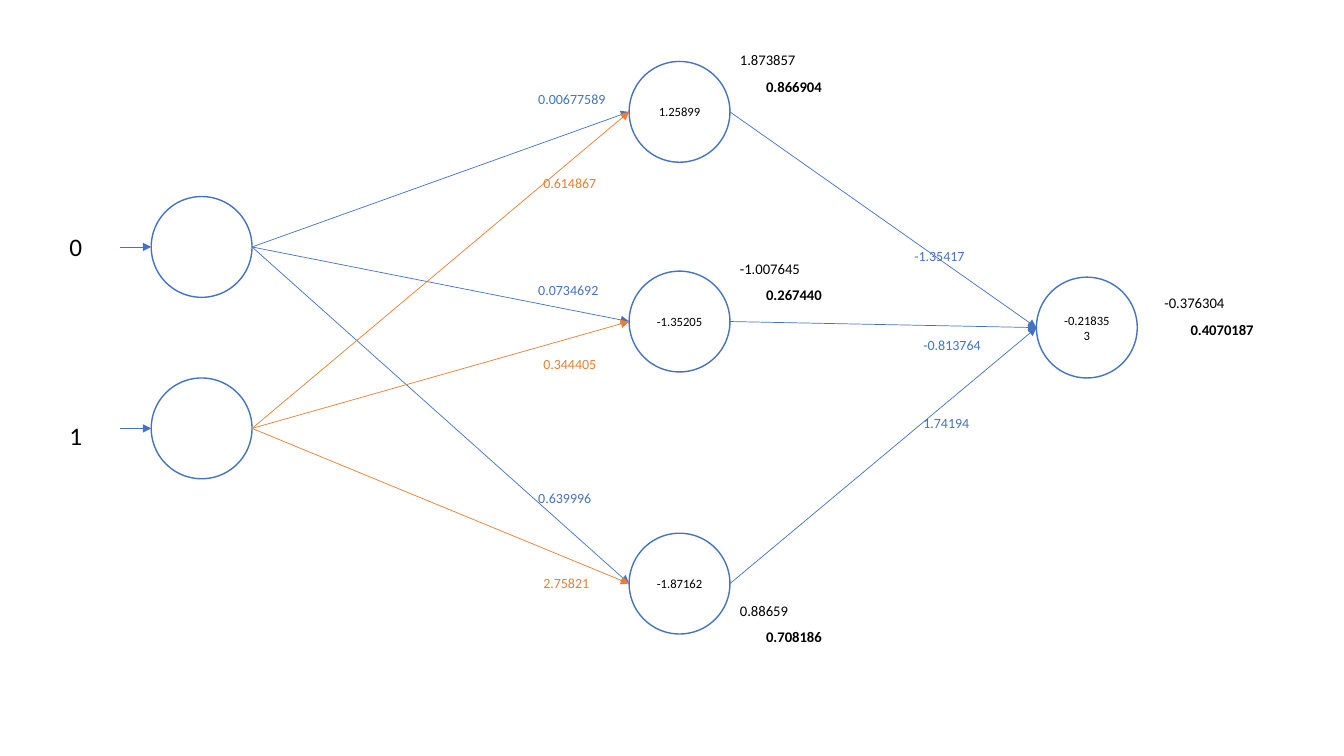
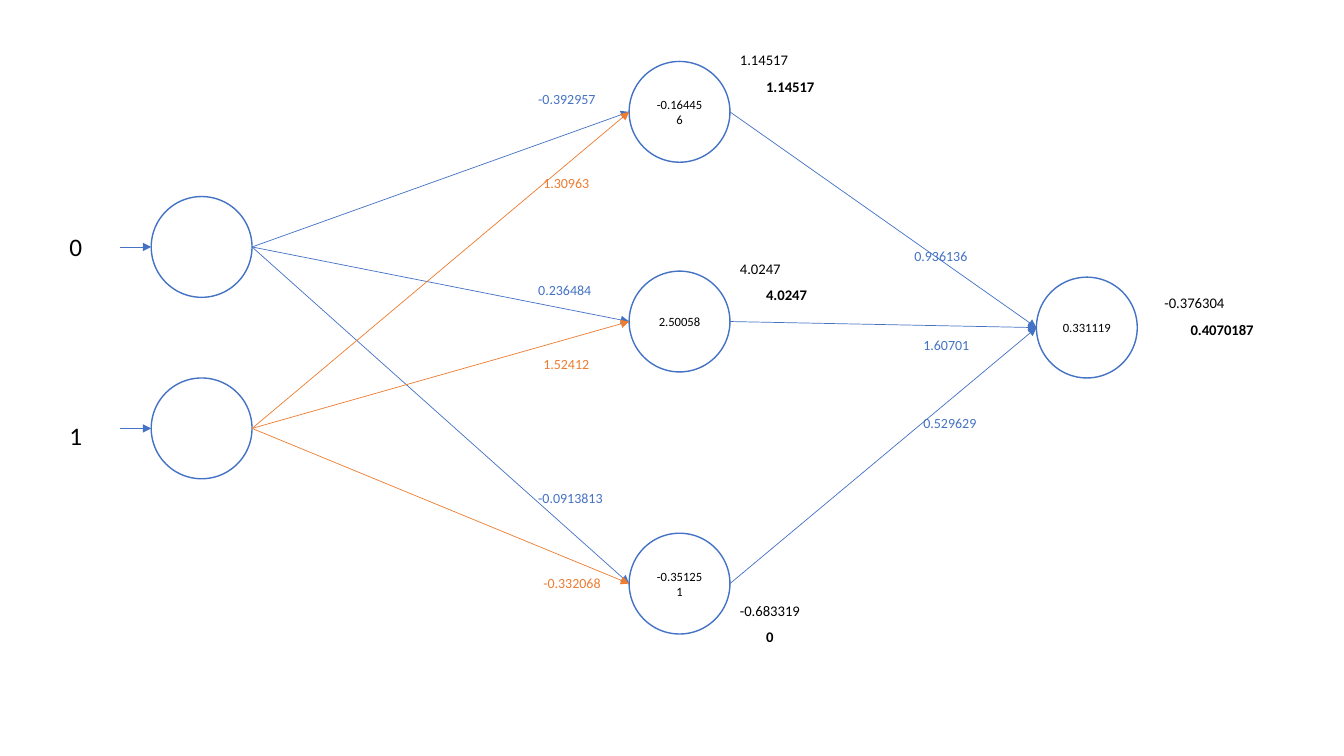
from dataclasses import dataclass
from typing import NamedTuple

from pptx import Presentation
from pptx.dml.color import RGBColor as RGB
from pptx.enum.shapes import MSO_CONNECTOR as CONN, MSO_SHAPE as SHAPE
from pptx.enum.text import MSO_ANCHOR as ANCHOR, MSO_AUTO_SIZE as FIT, PP_ALIGN as ALIGN
from pptx.oxml.ns import qn
from pptx.util import Emu, Pt
from lxml.etree import SubElement

PX = 9144  # EMU per px, 100 px to the inch


@dataclass(frozen=True)
class Theme:
    font: str = "Calibri"
    blue: RGB = RGB(0x44, 0x72, 0xC4)
    orange: RGB = RGB(0xED, 0x7D, 0x31)
    black: RGB = RGB(0, 0, 0)
    white: RGB = RGB(255, 255, 255)
    input_size: float = 18
    output_size: float = 10.5
    weight_size: float = 10
    bias_size: float = 9
    node_line: float = 1
    edge_line: float = 0.5


class Point(NamedTuple):
    x: int
    y: int


class Network(NamedTuple):
    """Values of one network; each row of weights belongs to one source layer node."""
    biases: list[str]
    input_weights: list[list[str]]
    output_weights: list[str]
    outputs: list[tuple[str, str]]


T = Theme()
NODE = 100
ARROW = 31
INPUT_NODES = [Point(150, 195), Point(150, 375)]
HIDDEN_NODES = [Point(624, y) for y in (61, 269, 529)]
OUTPUT_NODE = Point(1028, 275)

INPUT_VALUES = [("0", Point(59, 225)), ("1", Point(59, 412))]
INPUT_COLORS = [T.blue, T.orange]
INPUT_LABELS = [[Point(524, y) for y in (85, 274, 481)],
                [Point(529, y) for y in (168, 348, 565)]]
OUTPUT_LABELS = [Point(897, 241), Point(906, 329), Point(906, 406)]
SUM_LABELS = [Point(724, 46), Point(724, 253), Point(724, 592), Point(1145, 287)]
ACTIVATION_SHIFT = 26

FINAL_OUTPUT = ("-0.376304", "0.4070187")
NETWORKS = [
    Network(
        ["1.25899", "-1.35205", "-1.87162", "-0.218353"],
        [["0.00677589", "0.0734692", "0.639996"], ["0.614867", "0.344405", "2.75821"]],
        ["-1.35417", "-0.813764", "1.74194"],
        [("1.873857", "0.866904"), ("-1.007645", "0.267440"),
         ("0.88659", "0.708186"), FINAL_OUTPUT],
    ),
    Network(
        ["-0.164456", "2.50058", "-0.351251", "0.331119"],
        [["-0.392957", "0.236484", "-0.0913813"], ["1.30963", "1.52412", "-0.332068"]],
        ["0.936136", "1.60701", "0.529629"],
        [("1.14517", "1.14517"), ("4.0247", "4.0247"),
         ("-0.683319", "0"), FINAL_OUTPUT],
    ),
]


def apply(target, values: dict) -> None:
    for name, value in values.items():
        setattr(target, name, value)


def write(tf, text: str, size: float, color: RGB, bold: bool = False) -> None:
    r = tf.paragraphs[0].add_run()
    r.text = text
    apply(r.font, {"name": T.font, "size": Pt(size), "bold": bold})
    r.font.color.rgb = color


def label(slide, text: str, at: Point, size: float, color: RGB, bold: bool = False) -> None:
    """Add a number in a box as wide as its digits, plus the default insets."""
    em = sum({".": 0.252, "-": 0.306}.get(c, 0.507) for c in text)
    width = round(20 + em * size / 72 * 100)
    height = round(10 + 1.22 * size / 72 * 100)
    tf = slide.shapes.add_textbox(*(Emu(v * PX) for v in (*at, width, height))).text_frame
    apply(tf, {"word_wrap": False, "auto_size": FIT.SHAPE_TO_FIT_TEXT})
    write(tf, text, size, color, bold)


def node(slide, at: Point, bias: str = "") -> None:
    sp = slide.shapes.add_shape(SHAPE.OVAL, *(Emu(v * PX) for v in (*at, NODE, NODE)))
    sp.shadow.inherit = False
    sp.fill.solid()
    sp.fill.fore_color.rgb = T.white
    sp.line.color.rgb = T.blue
    sp.line.width = Pt(T.node_line)
    if bias:
        tf = sp.text_frame
        apply(tf, {"word_wrap": True, "vertical_anchor": ANCHOR.MIDDLE})
        tf.paragraphs[0].alignment = ALIGN.CENTER
        write(tf, bias, T.bias_size, T.black)


def arrow(slide, start: Point, end: Point, color: RGB) -> None:
    cxn = slide.shapes.add_connector(CONN.STRAIGHT, *(Emu(v * PX) for v in (*start, *end)))
    cxn.line.color.rgb = color
    cxn.line.width = Pt(T.edge_line)
    SubElement(cxn.line._get_or_add_ln(), qn("a:tailEnd"), type="triangle")
    SubElement(cxn._element.spPr, qn("a:effectLst"))


def left_of(at: Point) -> Point:
    return Point(at.x, at.y + NODE // 2)


def right_of(at: Point) -> Point:
    return Point(at.x + NODE, at.y + NODE // 2)


def draw_network(slide, net: Network) -> None:
    for at in INPUT_NODES:
        node(slide, at)
    for at, bias in zip([*HIDDEN_NODES, OUTPUT_NODE], net.biases):
        node(slide, at, bias)

    for source, color in zip(INPUT_NODES, INPUT_COLORS):
        for hidden in HIDDEN_NODES:
            arrow(slide, right_of(source), left_of(hidden), color)
    for hidden in HIDDEN_NODES:
        arrow(slide, right_of(hidden), left_of(OUTPUT_NODE), T.blue)

    for (value, at), target in zip(INPUT_VALUES, INPUT_NODES):
        label(slide, value, at, T.input_size, T.black)
        end = left_of(target)
        arrow(slide, Point(end.x - ARROW, end.y), end, T.blue)

    weight_rows = zip([*net.input_weights, net.output_weights],
                      [*INPUT_LABELS, OUTPUT_LABELS], [*INPUT_COLORS, T.blue])
    for weights, places, color in weight_rows:
        for weight, at in zip(weights, places):
            label(slide, weight, at, T.weight_size, color)

    for (total, activation), at in zip(net.outputs, SUM_LABELS):
        label(slide, total, at, T.output_size, T.black)
        shifted = Point(at.x + ACTIVATION_SHIFT, at.y + ACTIVATION_SHIFT)
        label(slide, activation, shifted, T.output_size, T.black, bold=True)


def main() -> None:
    prs = Presentation()
    apply(prs, {"slide_width": Emu(1333 * PX), "slide_height": Emu(750 * PX)})
    for net in NETWORKS:
        draw_network(prs.slides.add_slide(prs.slide_layouts[6]), net)
    prs.save("out.pptx")


if __name__ == "__main__":
    main()
